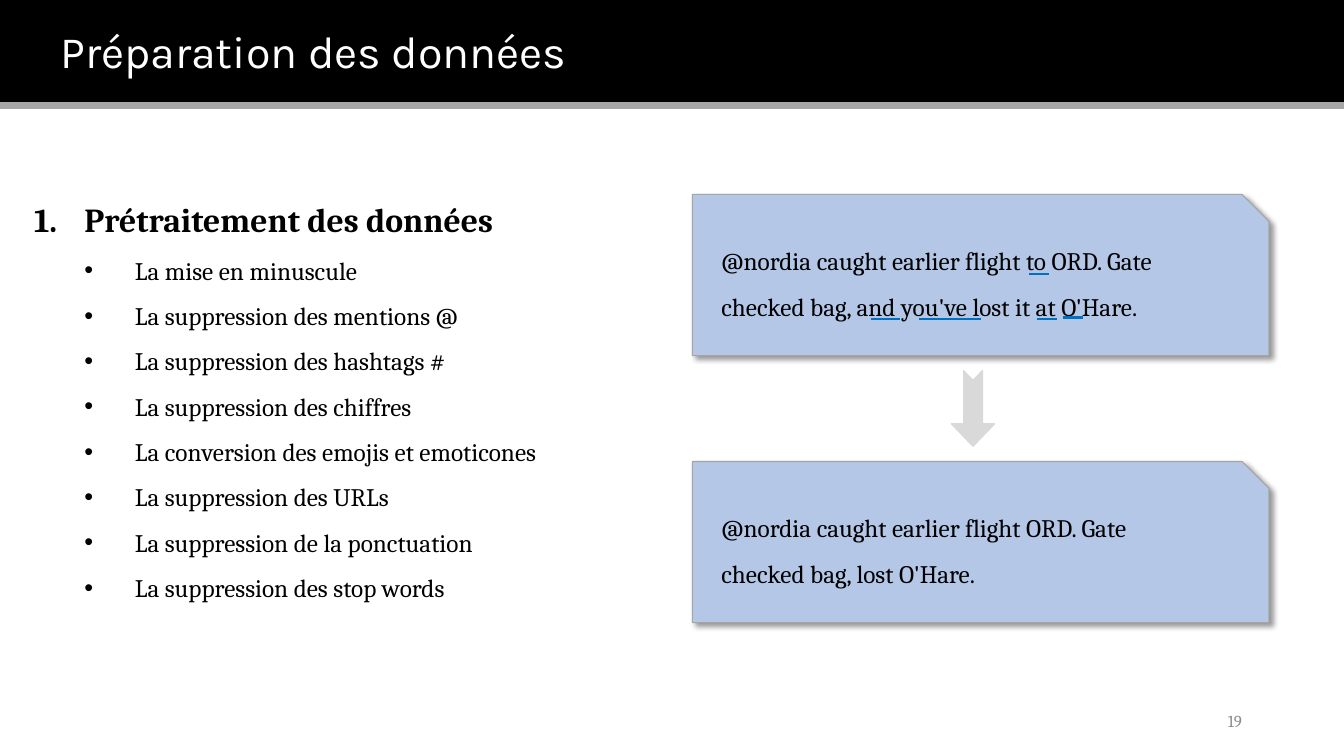
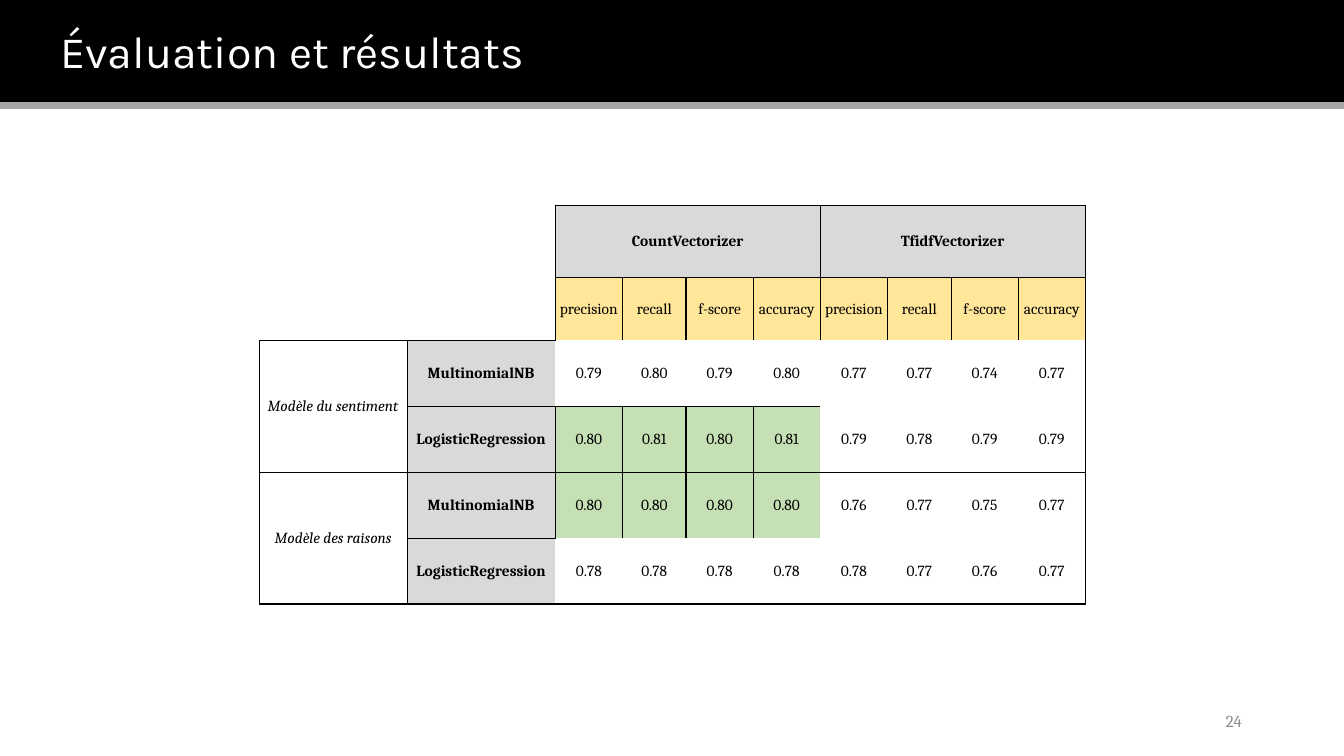
import lxml.etree
import pptx
import pptx.dml.color
import pptx.enum.shapes
import pptx.enum.text
import pptx.oxml.ns
import pptx.util

Cm = pptx.util.Cm
Pt = pptx.util.Pt
RGBColor = pptx.dml.color.RGBColor
SHAPE = pptx.enum.shapes.MSO_SHAPE
ALIGN = pptx.enum.text.PP_ALIGN
MIDDLE = pptx.enum.text.MSO_ANCHOR.MIDDLE

BLACK = RGBColor(0x00, 0x00, 0x00)
WHITE = RGBColor(0xFF, 0xFF, 0xFF)
BAND_GREY = RGBColor(0xA6, 0xA6, 0xA6)
NUMBER_GREY = RGBColor(0x8C, 0x8C, 0x8C)
CARD_BLUE = RGBColor(0xB4, 0xC7, 0xE7)
CARD_EDGE = RGBColor(0xA5, 0xA5, 0xA5)
LIGHT_GREY = RGBColor(0xD9, 0xD9, 0xD9)
STRIKE_BLUE = RGBColor(0x00, 0x70, 0xC0)
METRIC_YELLOW = RGBColor(0xFF, 0xE6, 0x99)
BEST_GREEN = RGBColor(0xC5, 0xE0, 0xB4)

# Cell styles: fill, bold, italic
CORNER = (None, False, False)
HEADER = (LIGHT_GREY, True, False)
METRIC = (METRIC_YELLOW, False, False)
GROUP = (None, False, True)
SCORE = (None, False, False)
BEST = (BEST_GREEN, False, False)


def add_element(parent, tag, **attributes):
    """Append a DrawingML element and return it."""
    element = lxml.etree.SubElement(parent, pptx.oxml.ns.qn(tag))
    for name, value in attributes.items():
        element.set(name, str(value))
    return element


class Deck:
    """Holds the shared style and the current slide."""

    title_font = "Karla"
    body_font = "Cambria"

    def __init__(self):
        self.presentation = pptx.Presentation()
        self.presentation.slide_width = Cm(33.87)
        self.presentation.slide_height = Cm(19.05)
        self.slide = None

    # Slide frame: title band, grey rule and page number
    def new_slide(self, title, number):
        self.slide = self.presentation.slides.add_slide(self.presentation.slide_layouts[6])
        band = self.shape(SHAPE.RECTANGLE, 0, 0, 33.87, 2.57, BLACK)
        band.text_frame.vertical_anchor = MIDDLE
        paragraph = band.text_frame.paragraphs[0]
        paragraph.alignment = ALIGN.LEFT
        self.indent(paragraph, 1.27)
        self.run(paragraph, title, 32, WHITE, font=self.title_font)
        self.shape(SHAPE.RECTANGLE, 0, 2.59, 33.87, 0.13, BAND_GREY)
        frame = self.text_box(23.93, 17.65, 7.62, 1.02)
        frame.vertical_anchor = MIDDLE
        frame.paragraphs[0].alignment = ALIGN.RIGHT
        self.run(frame.paragraphs[0], str(number), 12, NUMBER_GREY)

    # Text
    def run(self, paragraph, text, size, color=BLACK, bold=False, italic=False, font=None):
        run = paragraph.add_run()
        run.text = text
        run.font.name = font or self.body_font
        run.font.size = Pt(size)
        run.font.color.rgb = color
        run.font.bold = bold
        run.font.italic = italic

    def indent(self, paragraph, left, first=0):
        properties = paragraph._p.get_or_add_pPr()
        properties.set("marL", str(Cm(left)))
        properties.set("indent", str(Cm(first)))
        return properties

    def text_box(self, left, top, width, height):
        frame = self.slide.shapes.add_textbox(Cm(left), Cm(top), Cm(width), Cm(height)).text_frame
        frame.word_wrap = True
        return frame

    def numbered_list(self, left, top, width, height, heading, items):
        frame = self.text_box(left, top, width, height)
        paragraph = frame.paragraphs[0]
        properties = self.indent(paragraph, 1.27, -1.27)
        add_element(properties, "a:buFont", typeface="+mj-lt")
        add_element(properties, "a:buAutoNum", type="arabicPeriod")
        self.run(paragraph, heading, 24, bold=True)
        for item in items:
            paragraph = frame.add_paragraph()
            paragraph.level = 1
            paragraph.line_spacing = 1.5
            properties = self.indent(paragraph, 2.54, -1.27)
            add_element(properties, "a:buFont", typeface="Arial")
            add_element(properties, "a:buChar", char="•")
            self.run(paragraph, item, 18)

    # Shapes and lines
    def shape(self, kind, left, top, width, height, fill, edge=None, edge_width=1):
        shape = self.slide.shapes.add_shape(kind, Cm(left), Cm(top), Cm(width), Cm(height))
        shape.shadow.inherit = False
        shape.fill.solid()
        shape.fill.fore_color.rgb = fill
        shape.line.color.rgb = edge or fill
        shape.line.width = Pt(edge_width)
        return shape

    def message_card(self, left, top, text):
        card = self.shape(SHAPE.SNIP_1_RECTANGLE, left, top, 14.53, 4.06,
                          CARD_BLUE, CARD_EDGE, 0.75)
        effects = card._element.spPr.find(pptx.oxml.ns.qn("a:effectLst"))
        shadow = add_element(effects, "a:outerShdw", blurRad=Pt(4), dist=Pt(3),
                             dir=45 * 60000, algn="tl", rotWithShape=0)
        add_element(add_element(shadow, "a:srgbClr", val=BLACK), "a:alpha", val=40000)
        paragraph = self.text_box(left + 0.48, top + 0.78, 12.93, 2.46).paragraphs[0]
        paragraph.line_spacing = 1.5
        self.run(paragraph, text, 18)

    def down_arrow(self, left, top, length, thickness):
        arrow = self.shape(SHAPE.NOTCHED_RIGHT_ARROW, left, top, length, thickness, LIGHT_GREY)
        arrow.rotation = 90
        arrow.adjustments[0] = 0.43
        arrow.adjustments[1] = 0.52

    def underline(self, start, end, y):
        line = self.slide.shapes.add_connector(
            pptx.enum.shapes.MSO_CONNECTOR.STRAIGHT, Cm(start), Cm(y), Cm(end), Cm(y))
        line.line.color.rgb = STRIKE_BLUE
        line.line.width = Pt(1.5)
        add_element(line._element.spPr, "a:effectLst")

    # Table
    def borders(self, cell, sides):
        properties = cell._tc.get_or_add_tcPr()
        for side in "LRTB":
            line = add_element(properties, "a:ln" + side, w=Pt(1))
            if side in sides:
                add_element(add_element(line, "a:solidFill"), "a:srgbClr", val=BLACK)
            else:
                add_element(line, "a:noFill")

    def table(self, left, top, widths, heights, rows, merges):
        """Draw rows of (text, style) cells and return the bottom edge."""
        table = self.slide.shapes.add_table(
            len(heights), len(widths), Cm(left), Cm(top),
            Cm(sum(widths)), Cm(sum(heights))).table
        table.first_row = table.horz_banding = False
        for column, width in zip(table.columns, widths):
            column.width = Cm(width)
        for row, height in zip(table.rows, heights):
            row.height = Cm(height)
        for row_index, row in enumerate(rows):
            for column_index, (text, style) in enumerate(row):
                fill, bold, italic = style
                cell = table.cell(row_index, column_index)
                corner_sides = "B" if column_index == 0 else "RB"
                self.borders(cell, corner_sides if style is CORNER else "LRTB")
                if fill:
                    cell.fill.solid()
                    cell.fill.fore_color.rgb = fill
                else:
                    cell.fill.background()
                cell.margin_left = cell.margin_right = 0
                cell.margin_top = cell.margin_bottom = 0
                cell.vertical_anchor = MIDDLE
                if text:
                    paragraph = cell.text_frame.paragraphs[0]
                    paragraph.alignment = ALIGN.CENTER
                    self.run(paragraph, text, 11, bold=bold, italic=italic)
        for first_row, first_column, last_row, last_column in merges:
            table.cell(first_row, first_column).merge(table.cell(last_row, last_column))
        return top + sum(heights)


def model_rows(group, scores, best):
    """Two classifier rows of one model; best is the highlighted row."""
    rows = []
    for index, classifier in enumerate(["MultinomialNB", "LogisticRegression"]):
        row = [("" if index else group, GROUP), (classifier, HEADER)]
        for position, value in enumerate(scores[index].split()):
            row.append((value, BEST if index == best and position < 4 else SCORE))
        rows.append(row)
    return rows


def main():
    deck = Deck()

    # Data preparation
    deck.new_slide("Préparation des données", 19)
    deck.numbered_list(0.61, 4.9, 14.1, 10.41, "Prétraitement des données", [
        "La mise en minuscule",
        "La suppression des mentions @",
        "La suppression des hashtags #",
        "La suppression des chiffres",
        "La conversion des emojis et emoticones",
        "La suppression des URLs",
        "La suppression de la ponctuation",
        "La suppression des stop words",
    ])
    deck.message_card(17.45, 4.9, "@nordia caught earlier flight to ORD. Gate checked bag, "
                      "and you've lost it at O'Hare.")
    deck.message_card(17.45, 11.63, "@nordia caught earlier flight ORD. Gate checked bag, "
                      "lost O'Hare.")
    deck.down_arrow(23.57, 9.75, 1.9, 1.09)
    for start, end, y in [(25.93, 26.44, 6.91), (21.95, 22.68, 8.03), (23.16, 24.71, 8.03),
                          (26.14, 26.64, 8.03), (26.8, 27.28, 8.0)]:
        deck.underline(start, end, y)

    # Evaluation results
    deck.new_slide("Évaluation et résultats", 24)
    widths = [3.73] * 2 + [1.7, 1.6, 1.69, 1.69] * 2
    corner = [("", CORNER)] * 2
    vectorizers = [(text, HEADER) for name in ["CountVectorizer", "TfidfVectorizer"]
                   for text in [name, "", "", ""]]
    metrics = [(name, METRIC) for name in ["precision", "recall", "f-score", "accuracy"]] * 2
    sentiment = model_rows("Modèle du sentiment", [
        "0.79 0.80 0.79 0.80 0.77 0.77 0.74 0.77",
        "0.80 0.81 0.80 0.81 0.79 0.78 0.79 0.79"], best=1)
    reasons = model_rows("Modèle des raisons", [
        "0.80 0.80 0.80 0.80 0.76 0.77 0.75 0.77",
        "0.78 0.78 0.78 0.78 0.78 0.77 0.76 0.77"], best=0)
    bottom = deck.table(6.53, 5.17, widths, [1.83, 1.58, 1.66, 1.66],
                        [corner + vectorizers, corner + metrics] + sentiment,
                        [(0, 0, 1, 0), (0, 1, 1, 1), (0, 2, 0, 5), (0, 6, 0, 9), (2, 0, 3, 0)])
    deck.table(6.53, bottom, widths, [1.66, 1.66], reasons, [(0, 0, 1, 0)])

    deck.presentation.save("out.pptx")


if __name__ == "__main__":
    main()
